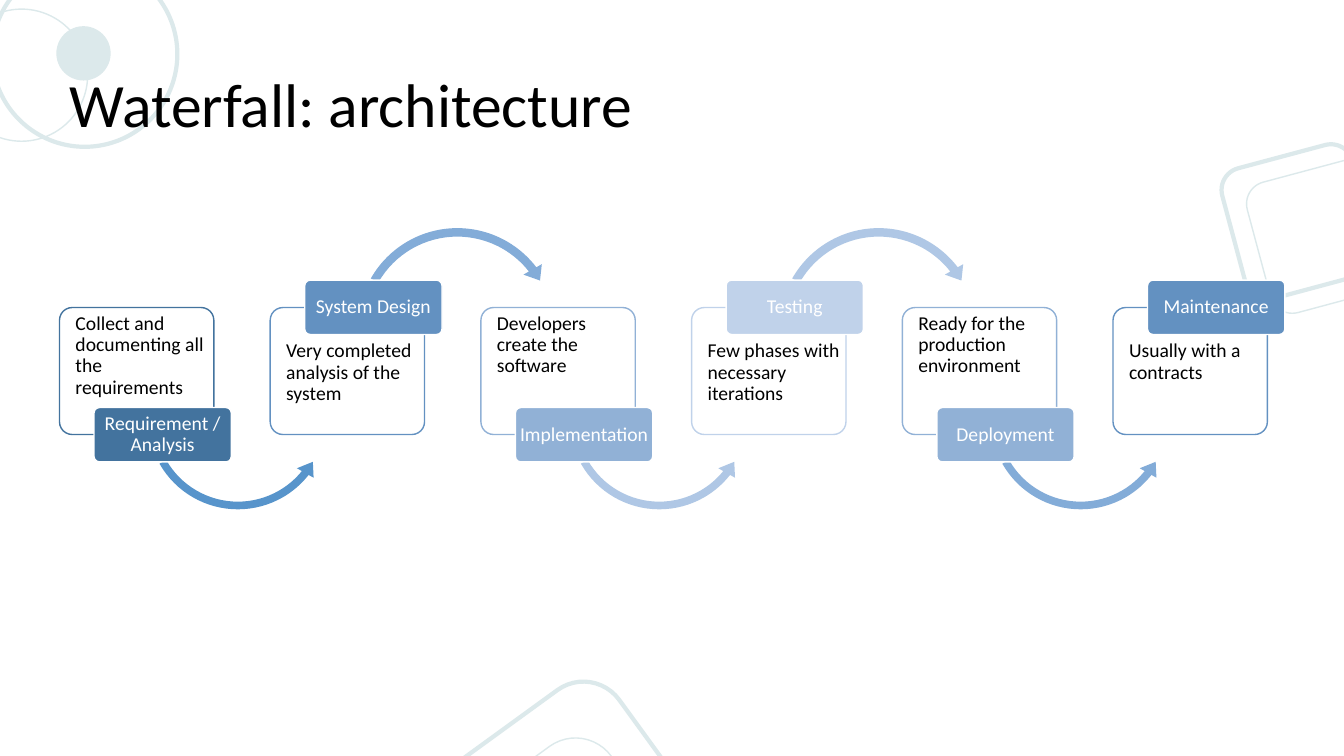
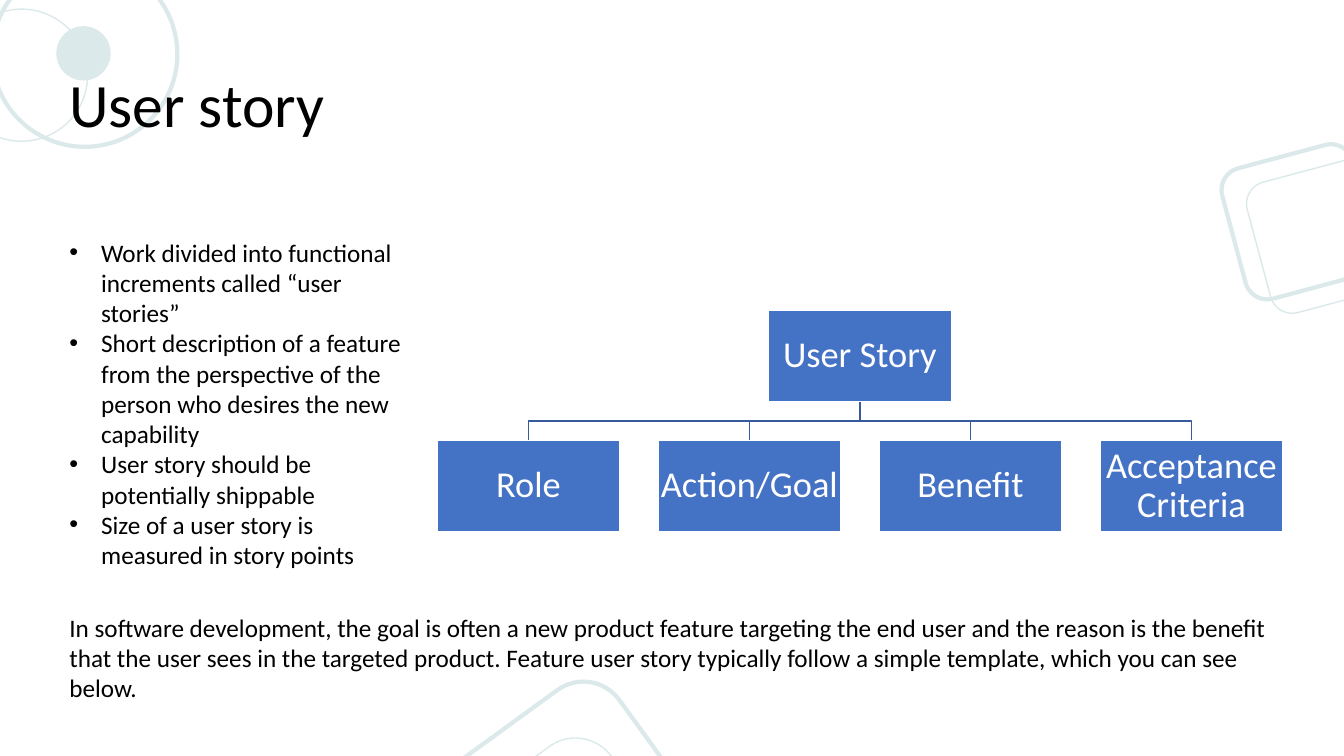
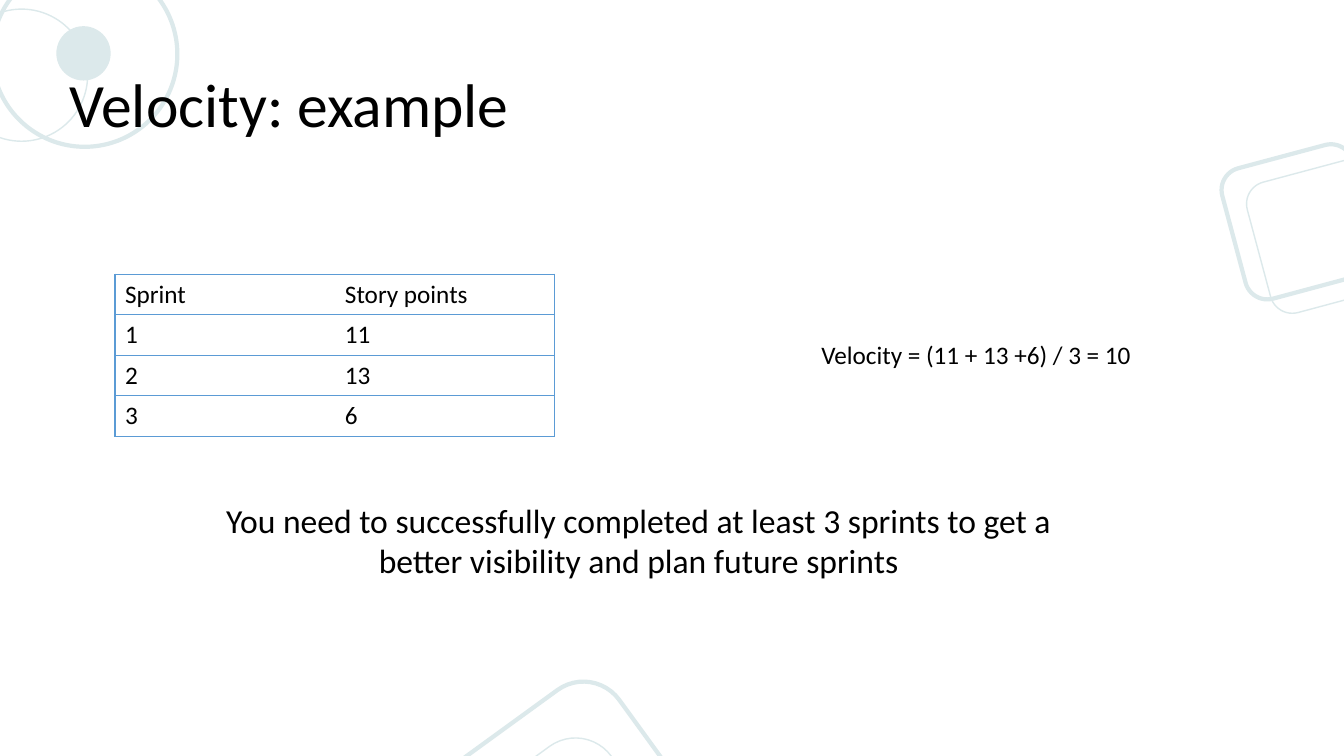
from lxml.etree import SubElement
from pptx import Presentation
from pptx.dml.color import RGBColor
from pptx.enum.shapes import MSO_SHAPE as Preset
from pptx.enum.text import MSO_ANCHOR as Anchor, PP_ALIGN as Align
from pptx.oxml.ns import qn
from pptx.util import Cm, Pt

FONT = "Calibri"
BLACK, WHITE = "000000", "FFFFFF"
DECOR, NODE, LINK, GRID = "DCE9EB", "4472C4", "365B9D", "5B9BD5"
MARGIN, CONTENT_WIDTH = 1.5, 30.86
TEXT_INSETS = (0.25, 0.13, 0.25, 0.13)
LABEL_INSETS = (0.02, 0.06, 0.02, 0.06)
NODE_INSETS = (0.05, 0.05, 0.05, 0.05)

CIRCLES = [
    (-1.12, 0.23, 3.33, 1),
    (1.42, 0.66, 1.37, None),
    (-0.2, -0.97, 4.67, 3),
]
SQUARES = [
    (10.87, 18.06, 6.68, 54, 3),
    (10.67, 19.48, 6.68, 54, 1),
    (31.04, 3.89, 3.4, 345, 3),
    (31.67, 4.24, 3.4, 345, 1),
]

PHASES = [
    ("Requirement / Analysis", "Collect and documenting all the requirements", "43739E", "5794CB"),
    ("System Design", "Very completed analysis of the system", "6391C1", "83ACD8"),
    ("Implementation", "Developers create the software", "91B1D6", "AFC7E5"),
    ("Testing", "Few phases with necessary iterations", "C0D2EA", "AFC7E5"),
    ("Deployment", "Ready for the production environment", "91B1D6", "83ACD8"),
    ("Maintenance", "Usually with a contracts", "6391C1", None),
]
LOWER_ARC = (Preset.LEFT_CIRCULAR_ARROW, 2.08, 8.15, 4.83,
             (0.04, 5.39, 23.14, 90.25, 0.05))
UPPER_ARC = (Preset.CIRCULAR_ARROW, 2.05, 5.59, 5.33,
             (0.04, 4.84, 193.41, 125.76, 0.05))

STORY_PARTS = ["Role", "Action/Goal", "Benefit", "Acceptance Criteria"]
STORY_FACTS = [
    "Work divided into functional increments called “user stories”",
    "Short description of a feature from the perspective of the person who desires the new capability",
    "User story should be potentially shippable",
    "Size of a user story is measured in story points",
]
STORY_SUMMARY = (
    "In software development, the goal is often a new product feature targeting "
    "the end user and the reason is the benefit that the user sees in the targeted "
    "product. Feature user story typically follow a simple template, which you can "
    "see below."
)
SPRINTS = [("Sprint", "Story points"), ("1", "11"), ("2", "13"), ("3", "6")]
SPRINT_ADVICE = (
    "You need to successfully completed at least 3 sprints to get a better "
    "visibility and plan future sprints"
)


def color(value):
    return RGBColor.from_string(value)


def assign(target, values):
    for name, value in values.items():
        setattr(target, name, value)


def add_bullet(paragraph):
    properties = paragraph._p.get_or_add_pPr()
    indents = {"marL": Cm(0.8), "indent": -Cm(0.8)}
    for name, value in indents.items():
        properties.set(name, str(value))
    SubElement(properties, qn("a:buFont")).set("typeface", "Arial")
    SubElement(properties, qn("a:buChar")).set("char", "•")


def write(frame, texts, size, ink=BLACK, align=Align.LEFT, anchor=Anchor.TOP,
          insets=TEXT_INSETS, spacing=1.0, bulleted=False):
    left, top, right, bottom = map(Cm, insets)
    assign(frame, {
        "word_wrap": True, "vertical_anchor": anchor, "margin_left": left,
        "margin_top": top, "margin_right": right, "margin_bottom": bottom,
    })
    for index, text in enumerate(texts):
        paragraph = frame.add_paragraph() if index else frame.paragraphs[0]
        assign(paragraph, {"alignment": align, "line_spacing": spacing})
        if bulleted:
            add_bullet(paragraph)
        run = paragraph.add_run()
        run.text = text
        assign(run.font, {"name": FONT, "size": Pt(size), "bold": False})
        run.font.color.rgb = color(ink)


def add_text(slide, box, texts, size, **layout):
    frame = slide.shapes.add_textbox(*map(Cm, box)).text_frame
    write(frame, texts, size, **layout)


def paint(shape, fill=None, line=None, width=1):
    shape.shadow.inherit = False
    for part, tone in ((shape.fill, fill), (shape.line.fill, line)):
        if tone:
            part.solid()
            part.fore_color.rgb = color(tone)
        else:
            part.background()
    if line:
        shape.line.width = Pt(width)


def add_preset(slide, preset, box, adjustments=(), **style):
    shape = slide.shapes.add_shape(preset, *map(Cm, box))
    for index, value in enumerate(adjustments):
        shape.adjustments[index] = value
    paint(shape, **style)
    return shape


def set_opacity(shape, percent):
    tone = shape._element.spPr.find(qn("a:solidFill")).find(qn("a:srgbClr"))
    SubElement(tone, qn("a:alpha")).set("val", str(percent * 1000))


def add_titled_slide(deck, title):
    slide = deck.slides.add_slide(deck.slide_layouts[6])
    for left, top, size, width in CIRCLES:
        style = {"line": DECOR, "width": width} if width else {"fill": DECOR}
        add_preset(slide, Preset.OVAL, (left, top, size, size), **style)
    for left, top, size, angle, width in SQUARES:
        square = add_preset(slide, Preset.ROUNDED_RECTANGLE, (left, top, size, size),
                            line=DECOR, width=width)
        square.rotation = angle
    add_text(slide, (MARGIN, 1.21, CONTENT_WIDTH, 3), [title], 44,
             anchor=Anchor.MIDDLE, spacing=0.9)
    return slide


def add_phase(slide, left, label_below, phase):
    label, description, tone, arc_tone = phase
    card = add_preset(slide, Preset.ROUNDED_RECTANGLE, (left, 7.75, 3.89, 3.2), (0.1,),
                      fill=WHITE, line=tone)
    set_opacity(card, 90)
    insets = (0.31, 0.06, 0.06, 0.75) if label_below else (0.31, 0.75, 0.06, 0.06)
    write(card.text_frame, [description], 14, insets=insets, spacing=0.9)
    if arc_tone:
        preset, offset, top, size, bend = LOWER_ARC if label_below else UPPER_ARC
        add_preset(slide, preset, (left + offset, top, size, size), bend, fill=arc_tone)
    tab = add_preset(slide, Preset.ROUNDED_RECTANGLE,
                     (left + 0.87, 10.27 if label_below else 7.06, 3.46, 1.37), (0.1,),
                     fill=tone, line=WHITE)
    write(tab.text_frame, [label], 14, ink=WHITE, align=Align.CENTER,
          anchor=Anchor.MIDDLE, insets=LABEL_INSETS, spacing=0.9)


def add_waterfall_slide(deck):
    slide = add_titled_slide(deck, "Waterfall: architecture")
    for index, phase in enumerate(PHASES):
        add_phase(slide, MARGIN + 5.31 * index, index % 2 == 0, phase)


def add_branch(slide, start_x, start_y, end_x, end_y):
    middle = (start_y + end_y) / 2
    builder = slide.shapes.build_freeform(Cm(start_x), Cm(start_y))
    corners = [(start_x, middle), (end_x, middle), (end_x, end_y)]
    builder.add_line_segments([(Cm(x), Cm(y)) for x, y in corners], close=False)
    paint(builder.convert_to_shape(), line=LINK)


def add_story_tree(slide):
    left, step, width, height = 11.02, 5.57, 4.6, 2.3
    root_top, part_top = 7.82, 11.1
    root_left = left + step * (len(STORY_PARTS) - 1) / 2
    part_lefts = [left + step * index for index in range(len(STORY_PARTS))]
    for part_left in reversed(part_lefts):
        add_branch(slide, root_left + width / 2, root_top + height,
                   part_left + width / 2, part_top)
    nodes = [("User Story", root_left, root_top)]
    nodes += [(part, x, part_top) for part, x in zip(STORY_PARTS, part_lefts)]
    for label, x, y in nodes:
        node = add_preset(slide, Preset.RECTANGLE, (x, y, width, height),
                          fill=NODE, line=WHITE)
        write(node.text_frame, [label], 26, ink=WHITE, align=Align.CENTER,
              anchor=Anchor.MIDDLE, insets=NODE_INSETS, spacing=0.9)


def add_story_slide(deck):
    slide = add_titled_slide(deck, "User story")
    add_story_tree(slide)
    add_text(slide, (MARGIN, 5.84, 8.97, 8.71), STORY_FACTS, 18, bulleted=True)
    add_text(slide, (MARGIN, 15.29, CONTENT_WIDTH, 2.57), [STORY_SUMMARY], 18)


def add_border(cell, side, visible):
    line = SubElement(cell._tc.get_or_add_tcPr(), qn("a:ln" + side))
    line.set("w", str(Pt(1)))
    if visible:
        fill = SubElement(line, qn("a:solidFill"))
        SubElement(fill, qn("a:srgbClr")).set("val", GRID)
    else:
        SubElement(line, qn("a:noFill"))


def add_sprint_table(slide):
    box = (2.9, 6.91, 11.08, 4.08)
    table = slide.shapes.add_table(len(SPRINTS), 2, *map(Cm, box)).table
    assign(table, {"first_row": False, "horz_banding": False})
    for row, values in enumerate(SPRINTS):
        for column, value in enumerate(values):
            cell = table.cell(row, column)
            borders = {"L": column == 0, "R": column == 1, "T": True, "B": True}
            for side, visible in borders.items():
                add_border(cell, side, visible)
            cell.fill.solid()
            cell.fill.fore_color.rgb = color(WHITE)
            write(cell.text_frame, [value], 18)
            cell.vertical_anchor = Anchor.MIDDLE


def add_velocity_slide(deck):
    slide = add_titled_slide(deck, "Velocity: example")
    add_text(slide, (20.45, 8.43, 9.88, 1.02), ["Velocity = (11 + 13 +6) / 3 = 10"], 18)
    add_sprint_table(slide)
    add_text(slide, (5.26, 12.47, 21.67, 2.31), [SPRINT_ADVICE], 24, align=Align.CENTER)


def main():
    deck = Presentation()
    assign(deck, {"slide_width": Cm(33.87), "slide_height": Cm(19.05)})
    add_waterfall_slide(deck)
    add_story_slide(deck)
    add_velocity_slide(deck)
    deck.save("out.pptx")


if __name__ == "__main__":
    main()
